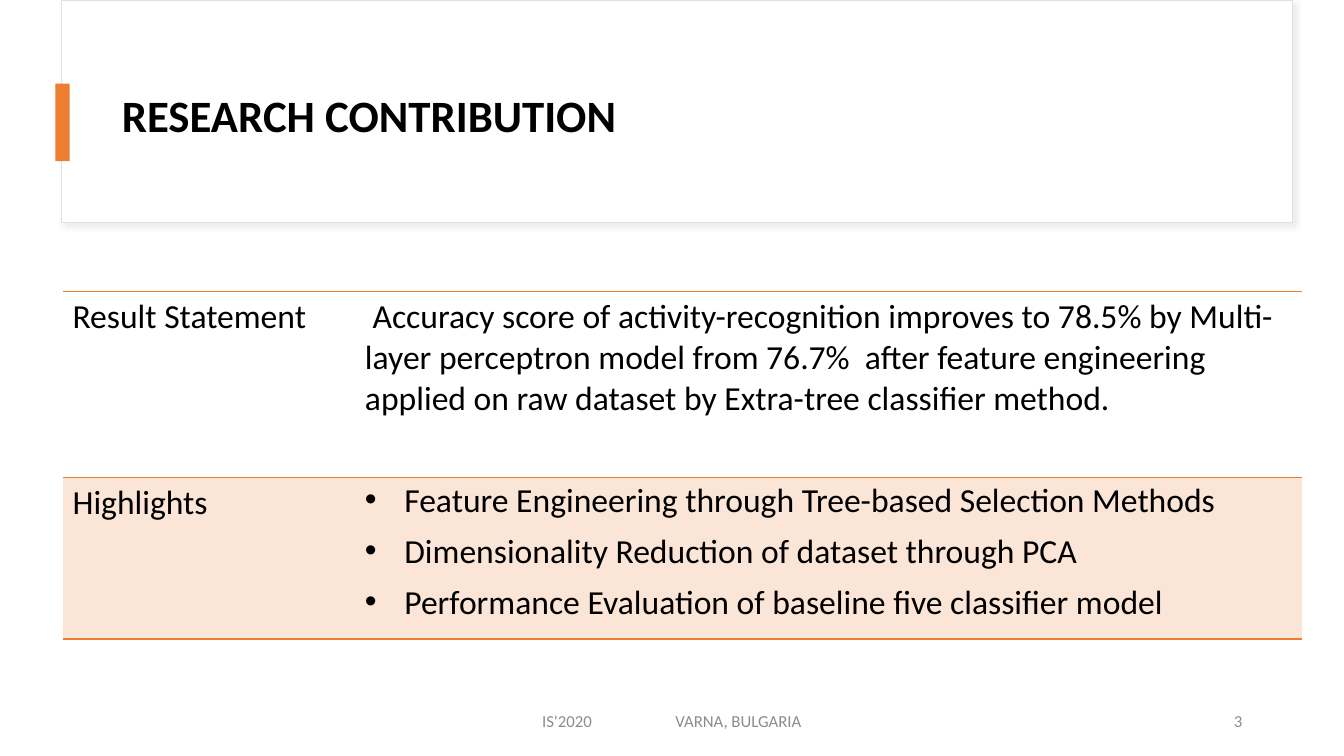
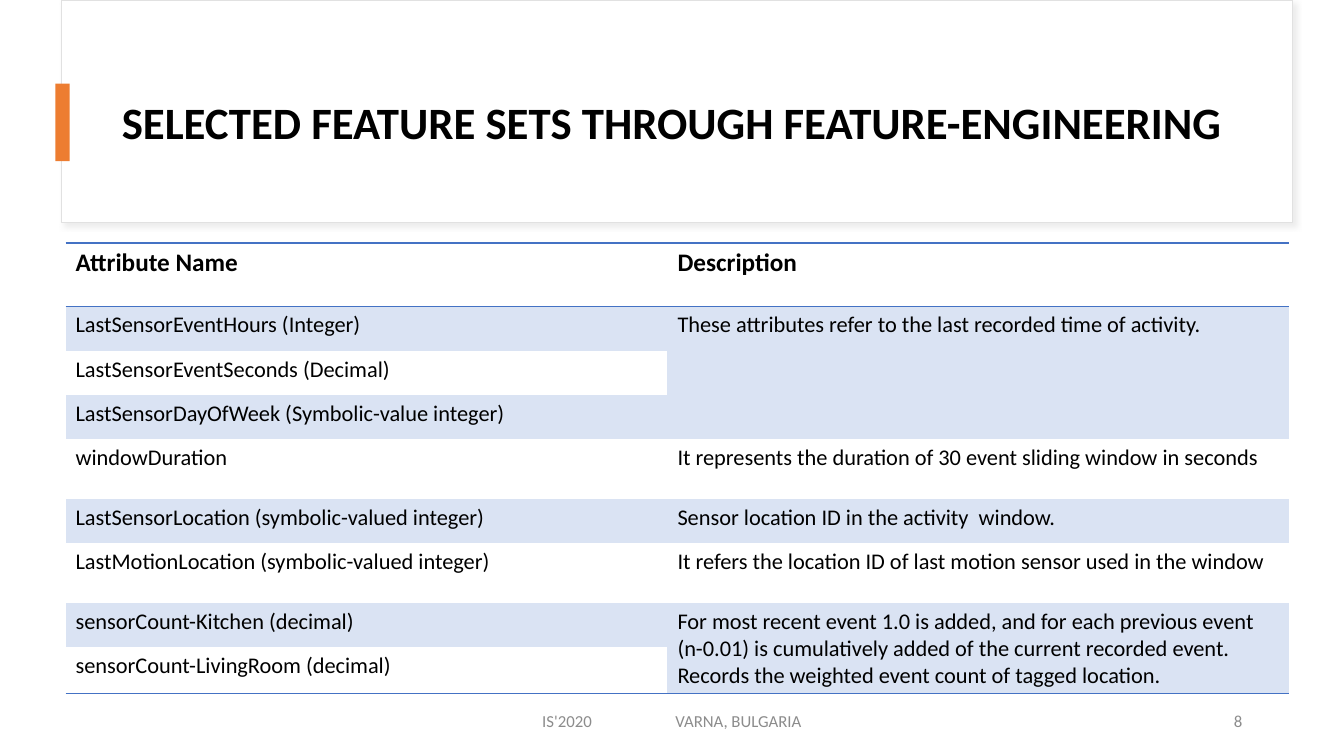
from dataclasses import dataclass

from lxml.etree import SubElement
from pptx import Presentation
from pptx.dml.color import RGBColor
from pptx.enum.shapes import MSO_SHAPE
from pptx.enum.text import MSO_ANCHOR, PP_ALIGN
from pptx.oxml.ns import qn
from pptx.util import Inches, Pt


@dataclass(frozen=True)
class Theme:
    font: str = "Calibri"
    text: str = "000000"
    footer: str = "8C8C8C"
    panel: str = "FFFFFF"
    panel_line: str = "E1E1E1"
    shadow: str = "D9D9D9"
    accent: str = "ED7D31"
    title_size: int = 32
    footer_size: int = 12
    rule_width: float = 1
    line_spacing: float = 0.9


THEME = Theme()
NO_TABLE_STYLE = "{2D5ABB26-0587-4C30-8999-92F81FD0307C}"
FOOTER = "IS'2020\tVARNA, BULGARIA"

# A list in a cell becomes bullets; None continues the cell above.
SLIDES = [
    {
        "title": "RESEARCH CONTRIBUTION",
        "title_top": 0.53,
        "number": "3",
        "table": {
            "position": (0.62, 2.89),
            "columns": (2.9, 9.39),
            "row_heights": (1.85, 1.6),
            "rule": "ED7D31",
            "band": "FBE5D6",
            "banded_rows": (1,),
            "ruled_rows": (0, 1),
            "header_size": None,
            "body_size": 24,
            "rows": [
                ("Result Statement",
                 " Accuracy score of activity-recognition improves to 78.5% by "
                 "Multi-layer perceptron model from 76.7%  after feature engineering "
                 "applied on raw dataset by Extra-tree classifier method."),
                ("Highlights",
                 ["Feature Engineering through Tree-based Selection Methods",
                  "Dimensionality Reduction of dataset through PCA",
                  "Performance Evaluation of baseline five classifier model"]),
            ],
        },
    },
    {
        "title": "SELECTED FEATURE SETS THROUGH FEATURE-ENGINEERING",
        "title_top": 0.59,
        "number": "8",
        "table": {
            "position": (0.65, 2.41),
            "columns": (5.97, 6.17),
            "row_heights": (0.63, 0.44, 0.44, 0.44, 0.59, 0.44, 0.59, 0.44, 0.44),
            "rule": "4472C4",
            "band": "DAE3F3",
            "banded_rows": (1, 3, 5, 7),
            "ruled_rows": (0, 8),
            "header_size": 18,
            "body_size": 16,
            "rows": [
                ("Attribute Name", "Description"),
                ("LastSensorEventHours (Integer)",
                 "These attributes refer to the last recorded time of activity."),
                ("LastSensorEventSeconds (Decimal)", None),
                ("LastSensorDayOfWeek (Symbolic-value integer)", None),
                ("windowDuration",
                 "It represents the duration of 30 event sliding window in seconds"),
                ("LastSensorLocation (symbolic-valued integer)",
                 "Sensor location ID in the activity  window."),
                ("LastMotionLocation (symbolic-valued integer)",
                 "It refers the location ID of last motion sensor used in the window"),
                ("sensorCount-Kitchen (decimal)",
                 "For most recent event 1.0 is added, and for each previous "
                 "event (n-0.01) is cumulatively added of the current recorded "
                 "event. Records the weighted event count of tagged location."),
                ("sensorCount-LivingRoom (decimal)", None),
            ],
        },
    },
]


def rgb(color):
    return RGBColor.from_string(color)


def format_runs(paragraph, size, color=THEME.text, bold=False):
    for run in paragraph.runs:
        run.font.name = THEME.font
        run.font.size = Pt(size)
        run.font.bold = bold
        run.font.color.rgb = rgb(color)


def add_text(slide, box, text, size, color, bold=False, align=PP_ALIGN.LEFT):
    frame = slide.shapes.add_textbox(*map(Inches, box)).text_frame
    frame.word_wrap = True
    frame.vertical_anchor = MSO_ANCHOR.MIDDLE
    frame.text = text
    paragraph = frame.paragraphs[0]
    paragraph.alignment = align
    format_runs(paragraph, size, color, bold)
    return paragraph


def add_rectangle(slide, box, fill):
    rectangle = slide.shapes.add_shape(MSO_SHAPE.RECTANGLE, *map(Inches, box))
    rectangle.shadow.inherit = False
    rectangle.fill.solid()
    rectangle.fill.fore_color.rgb = rgb(fill)
    rectangle.line.fill.background()
    return rectangle


def add_color(parent, color):
    return SubElement(parent, qn("a:srgbClr"), val=color)


def add_frame(slide, title, title_top, number):
    """Draw the title panel, accent bar and footer every slide has."""
    panel = add_rectangle(slide, (0.61, 0, 12.21, 2.21), THEME.panel)
    panel.line.color.rgb = rgb(THEME.panel_line)
    panel.line.width = Pt(0.75)
    effects = panel._element.spPr.find(qn("a:effectLst"))
    shadow = SubElement(effects, qn("a:outerShdw"), blurRad=str(Pt(4)),
                        dist=str(Pt(3)), dir="2700000", rotWithShape="0")
    SubElement(add_color(shadow, THEME.shadow), qn("a:alpha"), val="50000")

    heading = add_text(slide, (1.11, title_top, 11.12, 1.29), title,
                       THEME.title_size, THEME.text, bold=True)
    heading.line_spacing = THEME.line_spacing
    add_rectangle(slide, (0.55, 0.83, 0.14, 0.77), THEME.accent)

    event = add_text(slide, (5.28, 6.95, 3.64, 0.4), FOOTER,
                     THEME.footer_size, THEME.footer)
    tabs = SubElement(event._p.get_or_add_pPr(), qn("a:tabLst"))
    SubElement(tabs, qn("a:tab"), pos=str(Inches(1.32)), algn="l")
    add_text(slide, (9.42, 6.95, 3, 0.4), number,
             THEME.footer_size, THEME.footer, align=PP_ALIGN.RIGHT)


def add_bullet(paragraph):
    paragraph.line_spacing = THEME.line_spacing
    paragraph.space_before = Pt(10)
    properties = paragraph._p.get_or_add_pPr()
    indent = Inches(0.39)
    properties.set("marL", str(indent))
    properties.set("indent", str(-indent))
    SubElement(properties, qn("a:buFont"), typeface="Arial")
    SubElement(properties, qn("a:buChar"), char="•")


def add_rule(cell, side, color):
    line = SubElement(cell._tc.get_or_add_tcPr(), qn(f"a:ln{side}"),
                      w=str(Pt(THEME.rule_width)))
    add_color(SubElement(line, qn("a:solidFill")), color)


def fill_cell(cell, content, size, bold):
    bulleted = isinstance(content, list)
    cell.text_frame.text = "\n".join(content) if bulleted else content
    for paragraph in cell.text_frame.paragraphs:
        format_runs(paragraph, size, bold=bold)
        if bulleted:
            add_bullet(paragraph)


def merge_continued(table, rows):
    """Join each cell with the None cells that follow below it."""
    for column in range(len(rows[0])):
        start = 0
        for row in range(1, len(rows) + 1):
            if row == len(rows) or rows[row][column] is not None:
                if row - start > 1:
                    table.cell(start, column).merge(table.cell(row - 1, column))
                start = row


def add_ruled_table(slide, position, columns, row_heights, rule, band, banded_rows,
                    ruled_rows, header_size, body_size, rows):
    size = (sum(columns), sum(row_heights))
    table = slide.shapes.add_table(len(rows), len(columns),
                                   *map(Inches, position + size)).table
    table.first_row = table.horz_banding = False
    table._tbl.tblPr.find(qn("a:tableStyleId")).text = NO_TABLE_STYLE
    for column, width in zip(table.columns, columns):
        column.width = Inches(width)
    for row, height in zip(table.rows, row_heights):
        row.height = Inches(height)
    merge_continued(table, rows)

    for r, contents in enumerate(rows):
        is_header = r == 0 and header_size is not None
        for c, content in enumerate(contents):
            cell = table.cell(r, c)
            if r == 0:
                add_rule(cell, "T", rule)
            if r + cell.span_height - 1 in ruled_rows:
                add_rule(cell, "B", rule)
            if r in banded_rows:
                cell.fill.solid()
                cell.fill.fore_color.rgb = rgb(band)
            else:
                cell.fill.background()
            if content is not None:
                fill_cell(cell, content, header_size if is_header else body_size,
                          is_header)


def main():
    deck = Presentation()
    deck.slide_width, deck.slide_height = Inches(13.33), Inches(7.5)
    for content in SLIDES:
        slide = deck.slides.add_slide(deck.slide_layouts[6])
        add_frame(slide, content["title"], content["title_top"], content["number"])
        add_ruled_table(slide, **content["table"])
    deck.save("out.pptx")


if __name__ == "__main__":
    main()
